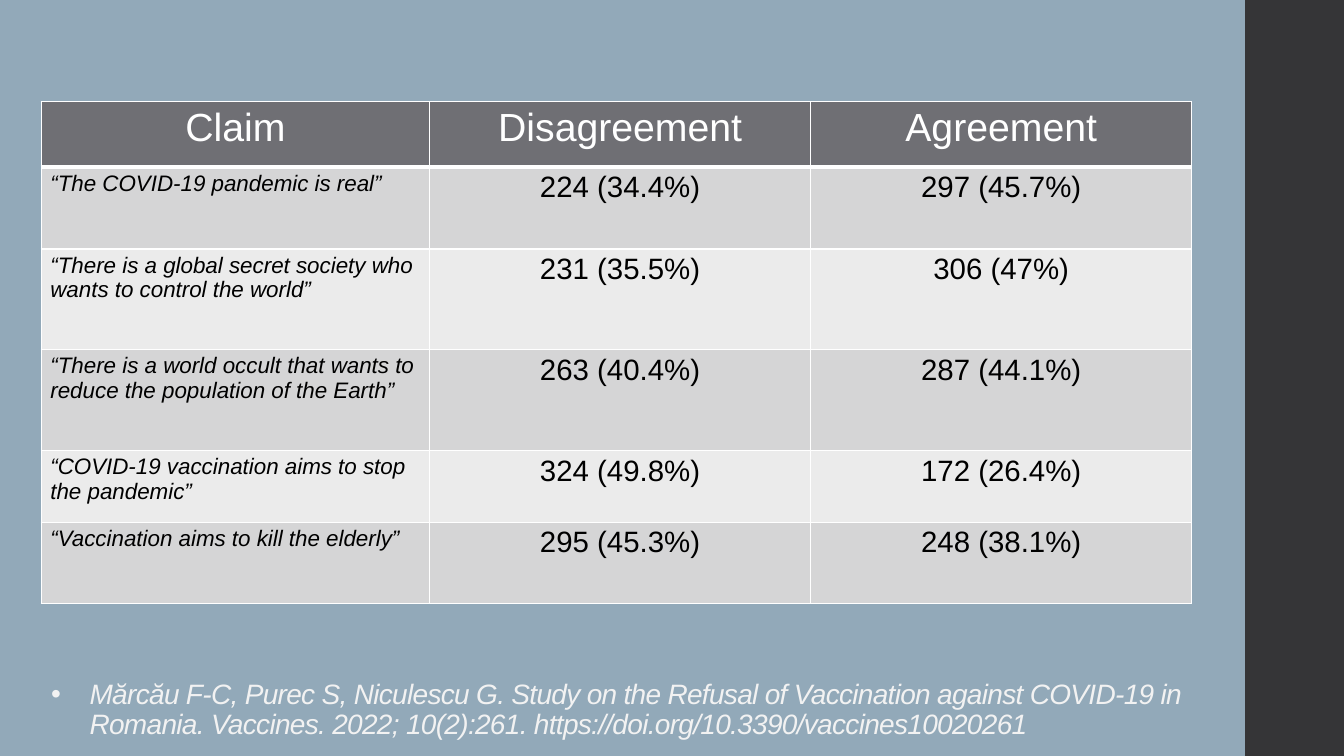
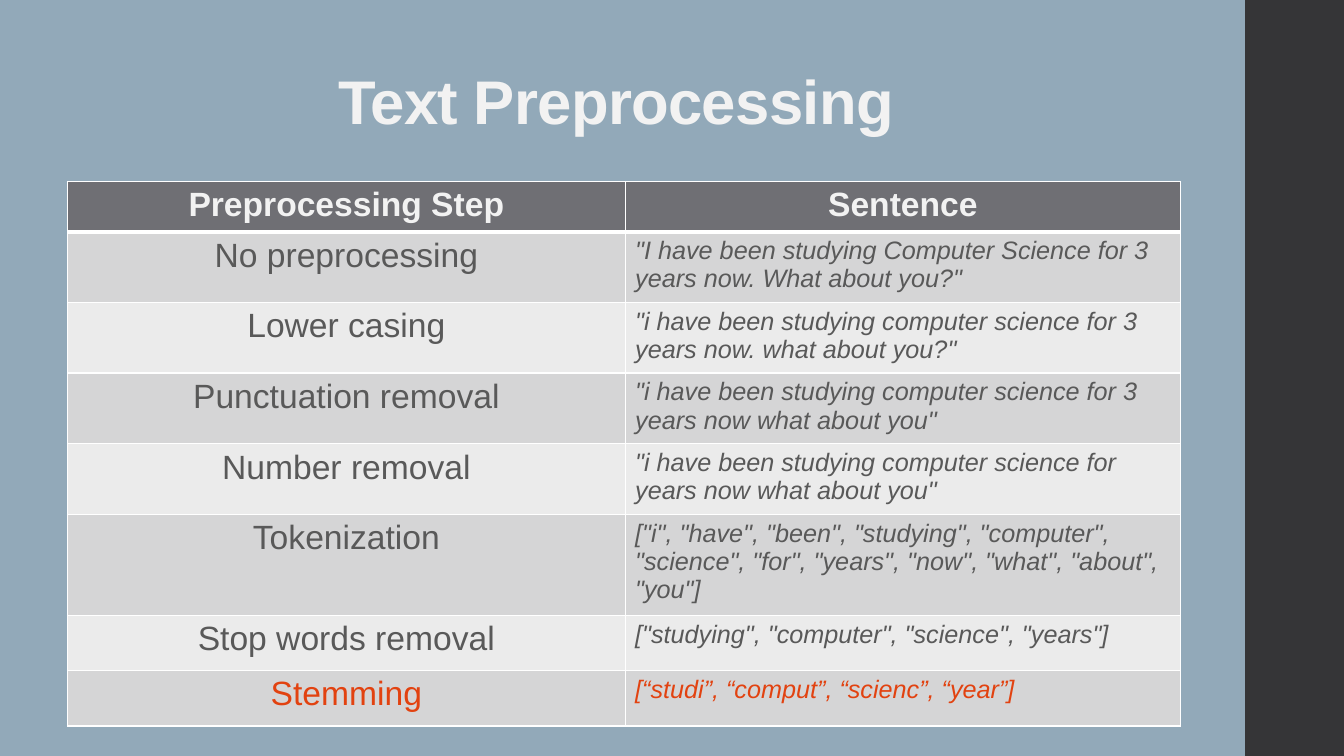
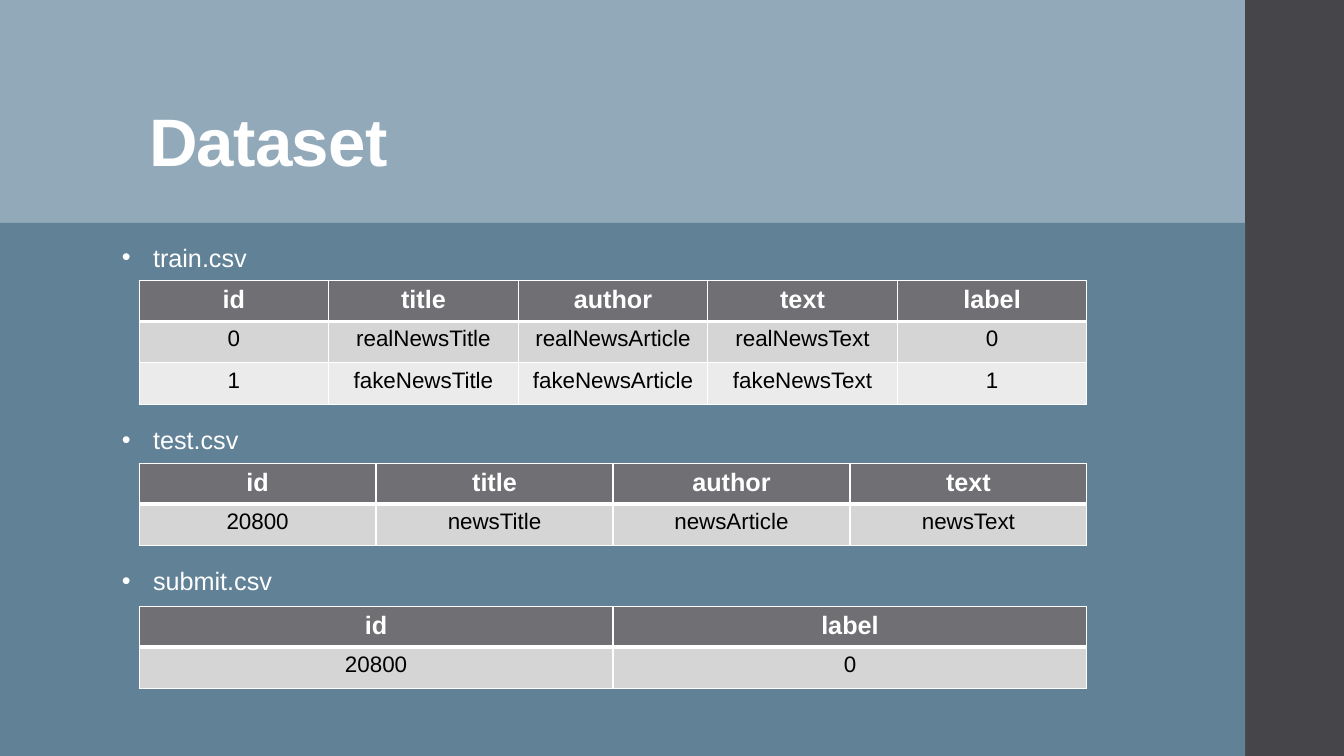
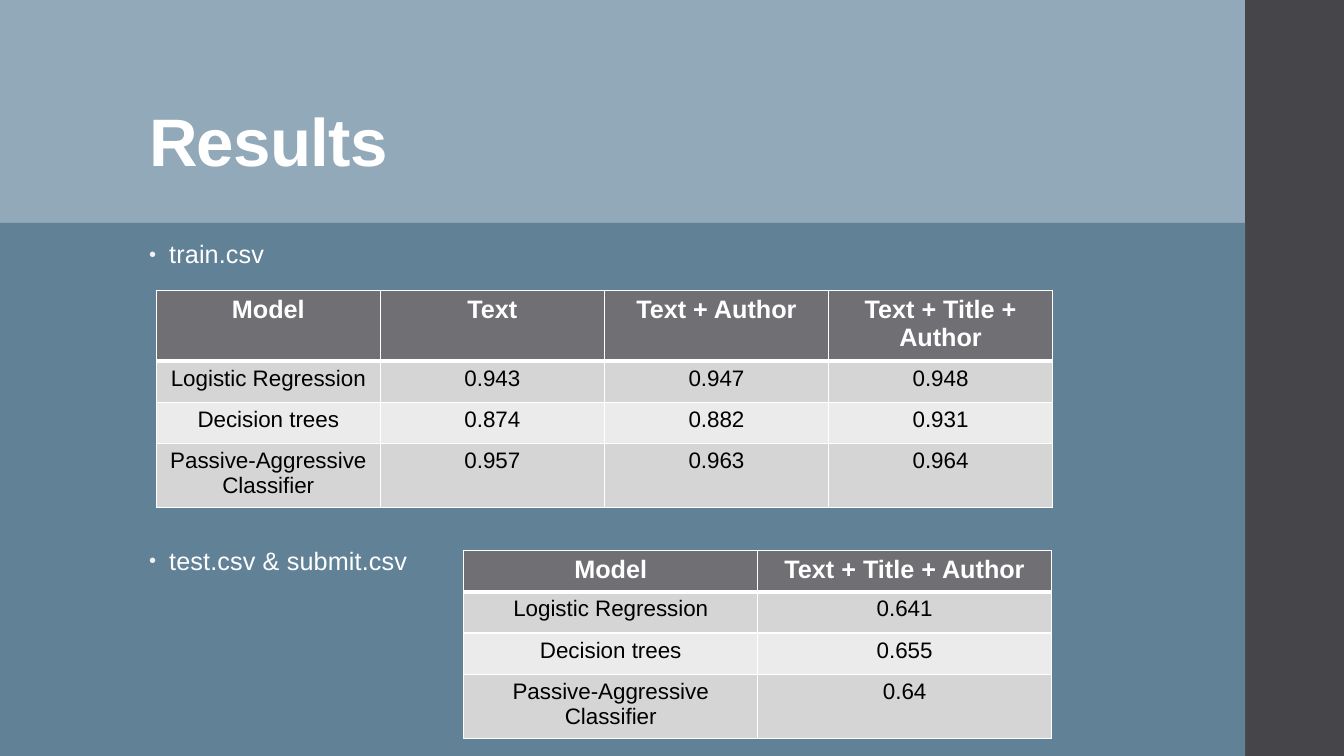
from pptx import Presentation
from pptx.util import Inches, Pt
from pptx.dml.color import RGBColor as Rgb
from pptx.enum.shapes import MSO_SHAPE as Shape
from pptx.enum.text import PP_ALIGN as Align, MSO_ANCHOR as Anchor
from pptx.oxml.ns import qn
from lxml.etree import SubElement as Sub

FONT = "Arial"
HUES = {
    "sky": "92A9B9", "sea": "618197", "coal": "353537", "slate": "46464A",
    "head": "6F6F74", "odd": "D5D5D6", "even": "EBEBEB",
    "white": "FFFFFF", "pale": "F2F2F2", "black": "000000",
    "gray": "595959", "red": "E24210",
}
WIDE, HIGH, EDGE, FOLD = 13.33, 7.5, 12.35, 2.21

# Content
CITE = ("Mărcău F-C, Purec S, Niculescu G. Study on the Refusal of Vaccination "
        "against COVID-19 in Romania. Vaccines. 2022; 10(2):261. "
        "https://doi.org/10.3390/vaccines10020261")

CLAIMS = [
    ("Claim", "Disagreement", "Agreement"),
    ("“The COVID-19 pandemic is real”", "224 (34.4%)", "297 (45.7%)"),
    ("“There is a global secret society who wants to control the world”",
     "231 (35.5%)", "306 (47%)"),
    ("“There is a world occult that wants to reduce the population of the Earth”",
     "263 (40.4%)", "287 (44.1%)"),
    ("“COVID-19 vaccination aims to stop the pandemic”",
     "324 (49.8%)", "172 (26.4%)"),
    ("“Vaccination aims to kill the elderly”", "295 (45.3%)", "248 (38.1%)"),
]

STEPS = [
    ("Preprocessing Step", "Sentence"),
    ("No preprocessing",
     '"I have been studying Computer Science for 3 years now. What about you?"'),
    ("Lower casing",
     '"i have been studying computer science for 3 years now. what about you?"'),
    ("Punctuation removal",
     '"i have been studying computer science for 3 years now what about you"'),
    ("Number removal",
     '"i have been studying computer science for years now what about you"'),
    ("Tokenization",
     '["i", "have", "been", "studying", "computer", "science", "for", "years", '
     '"now", "what", "about", "you"]'),
    ("Stop words removal", '["studying", "computer", "science", "years"]'),
    ("Stemming", "[“studi”, “comput”, “scienc”, “year”]"),
]

# Label, label top, table top, row heights, rows
FILES = [
    ("train.csv", 2.35, 2.78, [0.41] * 3, [
        ("id", "title", "author", "text", "label"),
        ("0", "realNewsTitle", "realNewsArticle", "realNewsText", "0"),
        ("1", "fakeNewsTitle", "fakeNewsArticle", "fakeNewsText", "1")]),
    ("test.csv", 4.16, 4.6, [0.39, 0.41], [
        ("id", "title", "author", "text"),
        ("20800", "newsTitle", "newsArticle", "newsText")]),
    ("submit.csv", 5.56, 6.02, [0.4, 0.41], [
        ("id", "label"),
        ("20800", "0")]),
]

# Label, label top, table left, top and width, row heights, rows
SCORES = [
    ("train.csv", 2.34, 1.55, 2.88, 8.89, [0.66, 0.41, 0.41, 0.6], [
        ("Model", "Text", "Text + Author", "Text + Title + Author"),
        ("Logistic Regression", "0.943", "0.947", "0.948"),
        ("Decision trees", "0.874", "0.882", "0.931"),
        ("Passive-Aggressive Classifier", "0.957", "0.963", "0.964")]),
    ("test.csv & submit.csv", 5.38, 4.6, 5.46, 5.83, [0.41, 0.41, 0.41, 0.6], [
        ("Model", "Text + Title + Author"),
        ("Logistic Regression", "0.641"),
        ("Decision trees", "0.655"),
        ("Passive-Aggressive Classifier", "0.64")]),
]


# Shared parts
def hue(name):
    return Rgb.from_string(HUES[name])


def style(para, size, color, bold=False, italic=False, track=0):
    for run in para.runs:
        font = run.font
        font.name, font.size = FONT, Pt(size)
        font.bold, font.italic = bold, italic
        font.color.rgb = hue(color)
        if track:
            run._r.get_or_add_rPr().set("spc", str(round(track * 100)))


def band(slide, left, top, width, height, color):
    box = slide.shapes.add_shape(
        Shape.RECTANGLE, *map(Inches, (left, top, width, height)))
    box.shadow.inherit = False
    box.fill.solid()
    box.fill.fore_color.rgb = hue(color)
    box.line.fill.background()


def page(deck, side, split=False):
    slide = deck.slides.add_slide(deck.slide_layouts[6])
    back = slide.background.fill
    back.solid()
    back.fore_color.rgb = hue("sky")
    band(slide, EDGE, 0, WIDE - EDGE + 0.01, HIGH, side)
    if split:
        band(slide, 0, FOLD, EDGE, HIGH - FOLD, "sea")
    return slide


def words(slide, text, at, anchor=Anchor.TOP, space=1.0, align=Align.LEFT, **look):
    box = slide.shapes.add_textbox(*map(Inches, at))
    frame = box.text_frame
    frame.word_wrap = True
    frame.vertical_anchor = anchor
    frame.text = text
    para = frame.paragraphs[0]
    para.alignment, para.line_spacing = align, space
    style(para, **look)
    return para


def title(slide, text, at, **look):
    look = dict(size=48, color="white", bold=True) | look
    return words(slide, text, at, Anchor.BOTTOM, 0.9, track=-0.5, **look)


def bullet(para, indent, color=None, scale=None):
    props = para._p.get_or_add_pPr()
    props.set("marL", str(Inches(indent)))
    props.set("indent", str(-Inches(indent)))
    if color:
        Sub(Sub(props, qn("a:buClr")), qn("a:srgbClr"), val=HUES[color])
    if scale:
        Sub(props, qn("a:buSzPct"), val=str(scale * 1000))
    Sub(props, qn("a:buFont"), typeface=FONT)
    Sub(props, qn("a:buChar"), char="•")


def border(cell, top, base):
    props = cell._tc.get_or_add_tcPr()
    for side, size in zip("LRTB", (1, 1, top, base)):
        line = Sub(props, qn("a:ln" + side), w=str(Pt(size)))
        Sub(Sub(line, qn("a:solidFill")), qn("a:srgbClr"), val=HUES["white"])


def grid(slide, left, top, cols, tall, rows, head, body, pad=(0.1, 0.05)):
    """Draw a table; head is a look, body maps (row, column) to a look."""
    size = (left, top, sum(cols), sum(tall))
    table = slide.shapes.add_table(
        len(rows), len(cols), *map(Inches, size)).table
    for col, width in zip(table.columns, cols):
        col.width = Inches(width)
    for r, row in enumerate(rows):
        table.rows[r].height = Inches(tall[r])
        fill = "head" if r == 0 else "odd" if r % 2 else "even"
        for c, text in enumerate(row):
            cell = table.cell(r, c)
            border(cell, 3 if r == 1 else 1, 3 if r == 0 else 1)
            cell.fill.solid()
            cell.fill.fore_color.rgb = hue(fill)
            cell.margin_left = cell.margin_right = Inches(pad[0])
            cell.margin_top = cell.margin_bottom = Inches(pad[1])
            cell.text_frame.text = text
            para = cell.text_frame.paragraphs[0]
            look = body(r, c) if r else head
            para.alignment = Align.LEFT if look.get("italic") else Align.CENTER
            style(para, **look)


def plain(slide, left, top, width, tall, rows):
    count = len(rows[0])
    grid(slide, left, top, [width / count] * count, tall, rows,
         dict(size=18, color="white", bold=True),
         lambda r, c: dict(size=16, color="black"))


# Slides
def claims(deck):
    slide = page(deck, "coal")
    para = title(slide, CITE, (0.41, 6.44, 11.42, 0.96),
                 size=20, color="pale", bold=False, italic=True)
    bullet(para, 0.38)
    looks = [dict(size=16, color="black", italic=True)] \
        + [dict(size=21, color="black")] * 2
    grid(slide, 0.41, 1.01, [3.85, 3.78, 3.78], [0.65, 0.81, 1, 1, 0.71, 0.81],
         CLAIMS, dict(size=28, color="white"), lambda r, c: looks[c], (0.09, 0.04))


def steps(deck):
    slide = page(deck, "coal")
    title(slide, "Text Preprocessing", (0.24, 0.4, 11.74, 1.02),
          size=44, color="pale", align=Align.CENTER)
    last = len(STEPS) - 1

    def look(r, c):
        return dict(size=18 if c else 24, italic=bool(c),
                    color="red" if r == last else "gray")

    grid(slide, 0.67, 1.8, [5.53, 5.51], [0.47] + [0.66] * 4 + [0.94, 0.55, 0.55],
         STEPS, dict(size=24, color="pale", bold=True), look)


def split(deck, name):
    slide = page(deck, "slate", True)
    title(slide, name, (1.38, 0.4, 10.6, 1.45))
    return slide


def files(deck):
    slide = split(deck, "Dataset")
    for label, high, top, tall, rows in FILES:
        para = words(slide, label, (1.11, high, 4.3, 0.4), size=18, color="white")
        bullet(para, 0.31)
        plain(slide, 1.38, top, 9.4, tall, rows)


def scores(deck):
    slide = split(deck, "Results")
    for label, high, left, top, width, tall, rows in SCORES:
        para = words(slide, label, (1.38, high, 3.2, 0.4), space=0.95,
                     size=18, color="white", track=0.1)
        bullet(para, 0.2, "pale", 80)
        plain(slide, left, top, width, tall, rows)


def main():
    deck = Presentation()
    deck.slide_width, deck.slide_height = Inches(WIDE), Inches(HIGH)
    for make in (claims, steps, files, scores):
        make(deck)
    deck.save("out.pptx")


if __name__ == "__main__":
    main()
